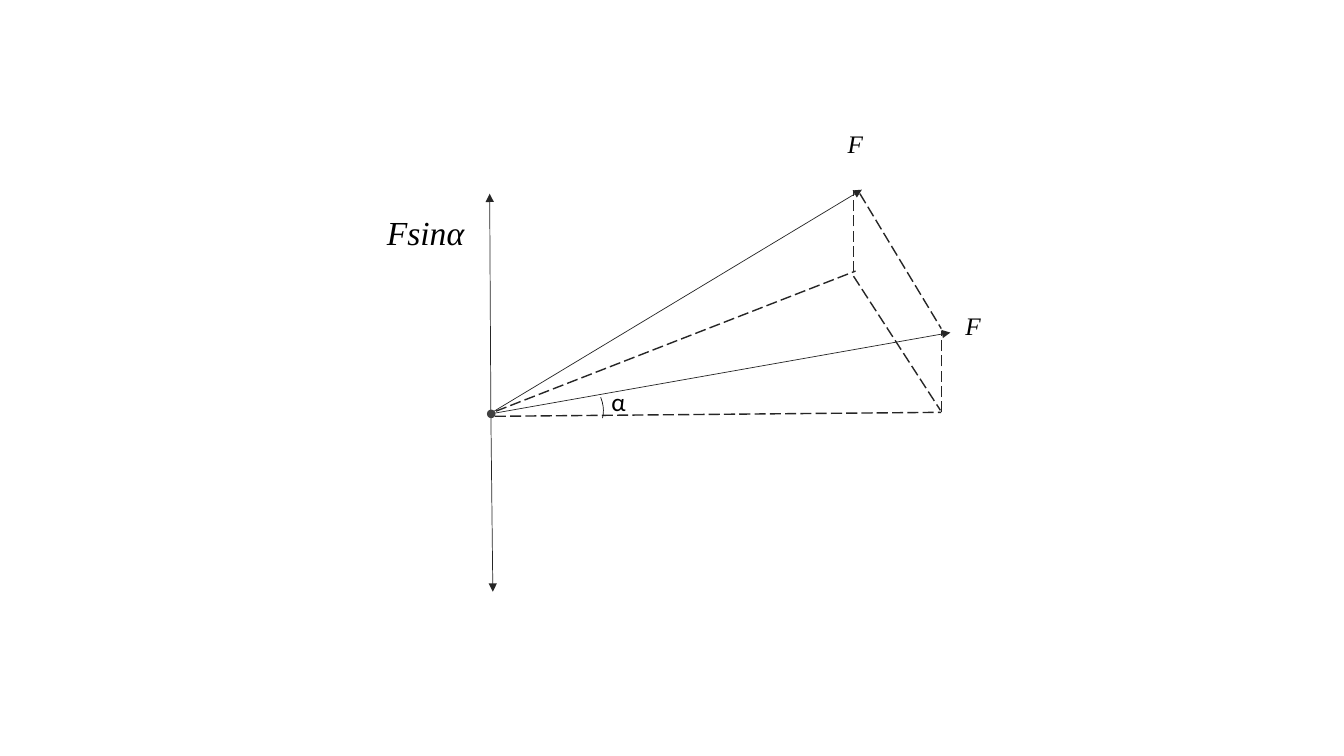
import pptx
import pptx.util
import pptx.dml.color
import pptx.enum.dml
import pptx.enum.shapes
import pptx.enum.text
import pptx.oxml
import pptx.oxml.ns
from pptx.util import Cm

LINE_COLOR = pptx.dml.color.RGBColor(0x26, 0x26, 0x26)
DOT_COLOR = pptx.dml.color.RGBColor(0x40, 0x40, 0x40)
ARC_COLOR = pptx.dml.color.RGBColor(0x0D, 0x0D, 0x0D)
TEXT_COLOR = pptx.dml.color.RGBColor(0, 0, 0)

FORCES = [
    (12.37, 10.41, 21.72, 4.78),
    (12.47, 10.41, 23.95, 8.38),
    (12.37, 10.34, 12.34, 4.88),
    (12.37, 10.39, 12.42, 14.91),
]
PROJECTIONS = [
    (21.67, 4.88, 23.72, 8.28),
    (12.5, 10.36, 21.56, 6.83),
    (21.51, 6.96, 23.7, 10.34),
    (23.72, 10.39, 23.72, 8.33),
    (12.47, 10.49, 23.72, 10.39),
    (21.51, 6.86, 21.51, 4.78),
]
SERIF = {"name": "Times New Roman", "italic": True}
LABELS = [
    ("α", (15.16, 9.6, 1.47, 1.52), 18, {"name": "Calibri"}),
    ("Fsinα", (9.5, 5.21, 7.06, 1.27), 24, SERIF),
    ("F", (24.08, 7.7, 1.57, 1.52), 18, SERIF),
    ("F", (21.11, 3.12, 1.57, 1.52), 18, SERIF),
]


class ForceDiagram:
    """Draw force arrows, projections and labels on one slide."""

    def __init__(self, slide):
        self.slide = slide
        self.shapes = slide.shapes

    def style_line(self, line, color, width):
        line.color.rgb = color
        line.width = pptx.util.Pt(width)

    def line(self, points, width):
        connector = self.shapes.add_connector(
            pptx.enum.shapes.MSO_CONNECTOR.STRAIGHT, *map(Cm, points))
        self.style_line(connector.line, LINE_COLOR, width)
        properties = connector._element.spPr
        properties.append(pptx.oxml.parse_xml(
            f'<a:effectLst {pptx.oxml.ns.nsdecls("a")}/>'))
        return connector

    def force(self, points):
        connector = self.line(points, 0.5)
        connector.line._get_or_add_ln().append(pptx.oxml.parse_xml(
            f'<a:tailEnd {pptx.oxml.ns.nsdecls("a")} type="triangle"/>'))

    def projection(self, points):
        connector = self.line(points, 1)
        connector.line.dash_style = pptx.enum.dml.MSO_LINE.LONG_DASH

    def origin(self, box):
        dot = self.shapes.add_shape(
            pptx.enum.shapes.MSO_SHAPE.OVAL, *map(Cm, box))
        dot.shadow.inherit = False
        dot.fill.solid()
        dot.fill.fore_color.rgb = DOT_COLOR
        self.style_line(dot.line, DOT_COLOR, 1)

    def angle(self, box, rotation, limits):
        arc = self.shapes.add_shape(
            pptx.enum.shapes.MSO_SHAPE.ARC, *map(Cm, box))
        arc.shadow.inherit = False
        arc.fill.background()
        arc.rotation = rotation
        for index, limit in enumerate(limits):
            arc.adjustments[index] = limit
        self.style_line(arc.line, ARC_COLOR, 0.5)

    def label(self, text, box, size, style):
        text_frame = self.shapes.add_textbox(*map(Cm, box)).text_frame
        text_frame.word_wrap = True
        text_frame.auto_size = pptx.enum.text.MSO_AUTO_SIZE.SHAPE_TO_FIT_TEXT
        paragraph = text_frame.paragraphs[0]
        run = paragraph.add_run()
        run.text = text
        run.font.color.rgb = TEXT_COLOR
        for name, value in {"size": pptx.util.Pt(size), **style}.items():
            setattr(run.font, name, value)


def main():
    presentation = pptx.Presentation()
    presentation.slide_width = Cm(33.87)
    presentation.slide_height = Cm(19.05)
    slide = presentation.slides.add_slide(presentation.slide_layouts[6])
    diagram = ForceDiagram(slide)
    for points in FORCES:
        diagram.force(points)
    diagram.origin((12.29, 10.34, 0.18, 0.18))
    for points in PROJECTIONS:
        diagram.projection(points)
    diagram.angle((13.56, 9.5, 1.7, 1.5), 47.7, (176.57, 199.62))
    for label in LABELS:
        diagram.label(*label)
    presentation.save("out.pptx")


if __name__ == "__main__":
    main()
